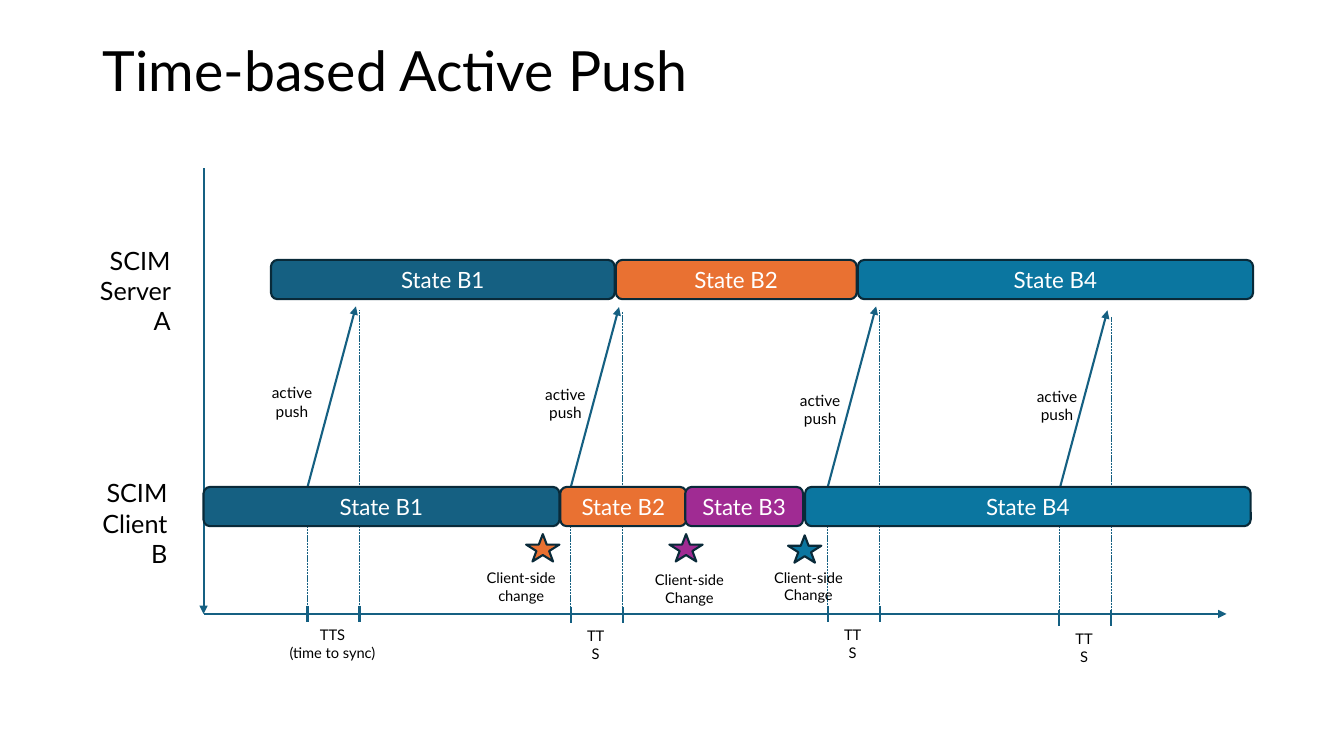
import pptx
import pptx.dml.color
import pptx.enum.dml
import pptx.enum.shapes
import pptx.enum.text
import pptx.oxml
import pptx.oxml.ns
import pptx.util
from pptx.util import Cm

FONT = "Lato"
BLACK, WHITE = "000000", "FFFFFF"
NAVY, OUTLINE = "156082", "092A39"
ORANGE, PURPLE, TEAL = "E97132", "A02B93", "0B76A0"

ALIGN = pptx.enum.text.PP_ALIGN
ANCHOR = pptx.enum.text.MSO_ANCHOR
SHAPE = pptx.enum.shapes.MSO_SHAPE

AXIS_X, AXIS_Y = 5.13, 15.47
SERVER_TOP, CLIENT_TOP, BAR_HEIGHT = 6.55, 12.27, 0.99
SYNC_TIME = 1.31

# (left, width, state, colour)
SERVER_STATES = [
    (6.83, 8.66, "State B1", NAVY),
    (15.52, 6.07, "State B2", ORANGE),
    (21.62, 9.96, "State B4", TEAL),
]
CLIENT_STATES = [
    (5.13, 8.97, "State B1", NAVY),
    (14.12, 3.18, "State B2", ORANGE),
    (17.27, 2.97, "State B3", PURPLE),
    (20.29, 11.23, "State B4", TEAL),
]
# (start of sync, drop, push label left and top, sync label lines and width)
SYNCS = [
    (7.75, 0, 6.6, 9.53, ["TTS", "(time to sync)"], 2.74),
    (14.38, 0.02, 13.49, 9.58, ["TTS"], 1.09),
    (20.86, 0, 19.91, 9.73, ["TTS"], 1.09),
    (26.69, 0.1, 25.88, 9.63, ["TTS"], 1.09),
]
# (star left, star top, colour, label left, label top, second word)
CHANGES = [
    (13.26, 13.46, ORANGE, 11.99, 14.22, "change"),
    (16.87, 13.46, PURPLE, 16.23, 14.27, "Change"),
    (19.86, 13.49, TEAL, 19.23, 14.2, "Change"),
]


def rgb(value):
    return pptx.dml.color.RGBColor.from_string(value)


def write(paragraph, text, size, colour, align):
    paragraph.alignment = align
    run = paragraph.add_run()
    run.text = text
    run.font.name = FONT
    run.font.size = pptx.util.Pt(size)
    run.font.color.rgb = rgb(colour)


def add_label(slide, left, top, width, height, lines, size, align=ALIGN.CENTER):
    frame = slide.shapes.add_textbox(Cm(left), Cm(top), Cm(width), Cm(height)).text_frame
    frame.word_wrap = True
    for index, line in enumerate(lines):
        paragraph = frame.add_paragraph() if index else frame.paragraphs[0]
        write(paragraph, line, size, BLACK, align)


def add_line(slide, x1, y1, x2, y2, width=1.5, arrow=False, dashed=False):
    connector = slide.shapes.add_connector(
        pptx.enum.shapes.MSO_CONNECTOR.STRAIGHT, Cm(x1), Cm(y1), Cm(x2), Cm(y2))
    connector.line.color.rgb = rgb(NAVY)
    connector.line.width = pptx.util.Pt(width)
    if dashed:
        connector.line.dash_style = pptx.enum.dml.MSO_LINE.SQUARE_DOT
    if arrow:
        head = pptx.oxml.parse_xml(
            f'<a:tailEnd {pptx.oxml.ns.nsdecls("a")} type="triangle"/>')
        connector.line._get_or_add_ln().append(head)
    no_effects = pptx.oxml.parse_xml(f'<a:effectLst {pptx.oxml.ns.nsdecls("a")}/>')
    connector._element.spPr.append(no_effects)


def add_outlined(slide, kind, left, top, width, height, colour):
    outlined = slide.shapes.add_shape(kind, Cm(left), Cm(top), Cm(width), Cm(height))
    outlined.shadow.inherit = False
    outlined.fill.solid()
    outlined.fill.fore_color.rgb = rgb(colour)
    outlined.line.color.rgb = rgb(OUTLINE)
    outlined.line.width = pptx.util.Pt(1.5)
    return outlined


def add_states(slide, top, states):
    for left, width, state, colour in states:
        bar = add_outlined(slide, SHAPE.ROUNDED_RECTANGLE, left, top, width, BAR_HEIGHT, colour)
        bar.text_frame.vertical_anchor = ANCHOR.MIDDLE
        write(bar.text_frame.paragraphs[0], state, 16, WHITE, ALIGN.CENTER)


def add_sync(slide, start, drop, push_left, push_top, sync_lines, sync_width):
    end = start + SYNC_TIME
    add_line(slide, start, AXIS_Y, start, CLIENT_TOP + drop, 0.5, dashed=True)
    add_line(slide, end, AXIS_Y, end, 7.8 + 2 * drop, 0.5, dashed=True)
    for tick in (start, end):
        add_line(slide, tick, AXIS_Y - 0.2 + drop, tick, AXIS_Y + 0.2 + drop)
    add_line(slide, start, CLIENT_TOP + drop, start + 1.22, 7.72 + drop, arrow=True)
    add_label(slide, push_left, push_top, 1.52, 1.19, ["active", "push"], 11)
    add_label(slide, start + 0.63 - sync_width / 2, 15.65 + drop, sync_width, 1.14,
              sync_lines, 10.5)


def add_change(slide, star_left, star_top, colour, label_left, label_top, word):
    add_outlined(slide, SHAPE.STAR_5_POINT, star_left, star_top, 0.84, 0.69, colour)
    add_label(slide, label_left, label_top, 2.29, 1.14, ["Client-side", word], 10.5)


def add_title(slide, text):
    title = slide.shapes.title
    title.left, title.top, title.width, title.height = Cm(2.34), Cm(1.02), Cm(29.21), Cm(1.68)
    title.text_frame.vertical_anchor = ANCHOR.MIDDLE
    paragraph = title.text_frame.paragraphs[0]
    paragraph.line_spacing = 0.9
    write(paragraph, text, 39.6, BLACK, ALIGN.LEFT)


def main():
    deck = pptx.Presentation()
    deck.slide_width, deck.slide_height = Cm(33.87), Cm(19.05)
    slide = deck.slides.add_slide(deck.slide_layouts.get_by_name("Title Only"))
    add_title(slide, "Time-based Active Push")

    # Axes and row labels
    add_line(slide, AXIS_X, 4.24, AXIS_X, AXIS_Y, arrow=True)
    add_line(slide, AXIS_X, AXIS_Y, 30.91, AXIS_Y, arrow=True)
    add_label(slide, 1.78, 6.05, 2.77, 1.8, ["SCIM", "Server A"], 18, ALIGN.RIGHT)
    add_label(slide, 1.78, 11.91, 2.69, 1.8, ["SCIM", "Client B"], 18, ALIGN.RIGHT)

    # Pushes from client to server, with the time each one takes
    for sync in SYNCS:
        add_sync(slide, *sync)

    # State bars
    add_states(slide, SERVER_TOP, SERVER_STATES)
    add_states(slide, CLIENT_TOP, CLIENT_STATES)

    # Client-side changes
    for change in CHANGES:
        add_change(slide, *change)

    deck.save("out.pptx")


if __name__ == "__main__":
    main()
